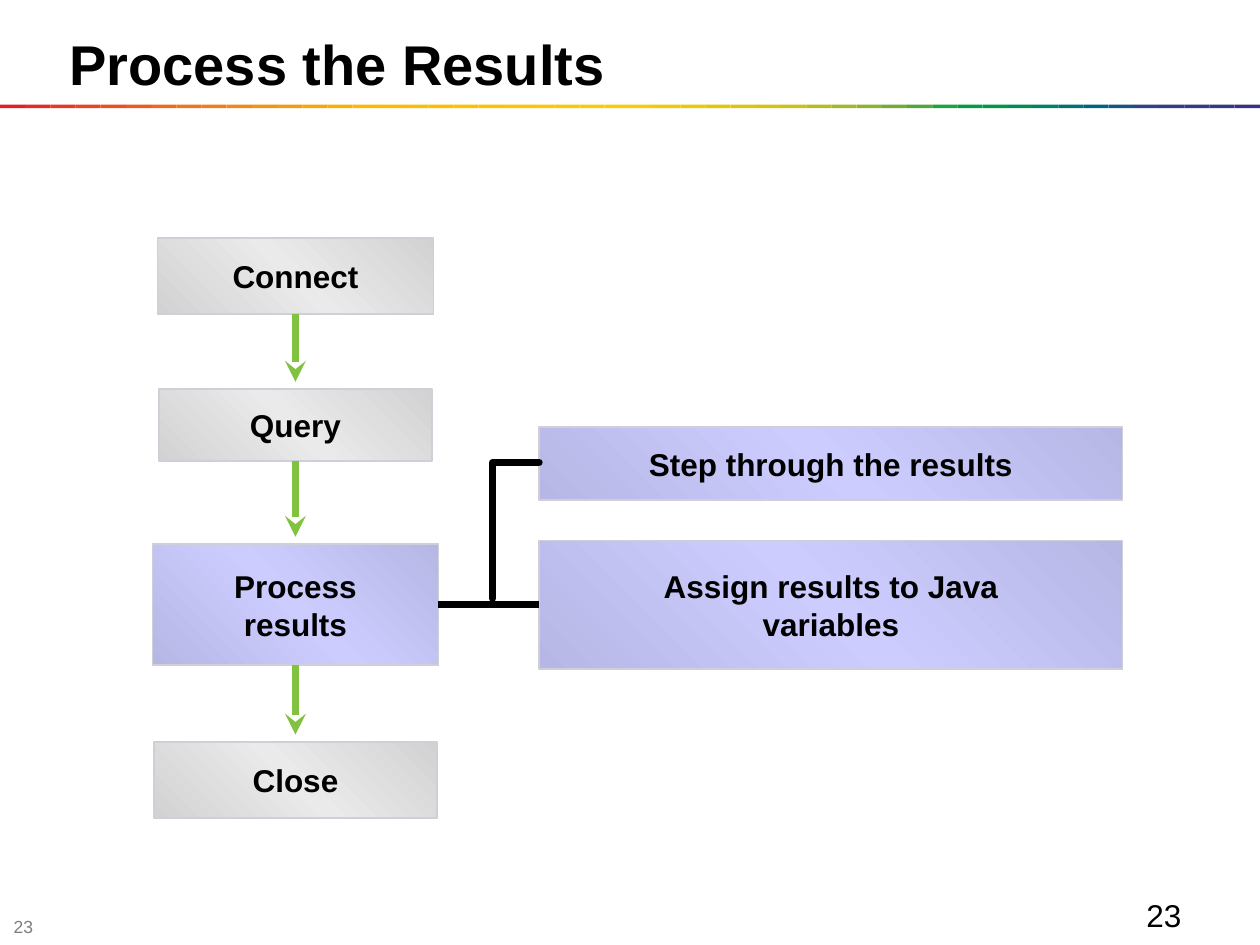
from lxml import etree
from pptx import Presentation
from pptx import util as u
from pptx.dml.color import RGBColor
from pptx.enum import shapes, text
from pptx.oxml import parse_xml
from pptx.oxml.ns import nsdecls, qn

FONT = "Arial"
BLACK, GREEN, BORDER = "000000", "81C240", "CFD0D7"
GREY_FILL = ("D2D2D2", "EAEAEA", "D2D2D2")
LILAC_FILL = ("B7B7E5", "CCCCFF", "B7B7E5")
RAINBOW = """
E31E24 E42C24 E53A24 E74623 E85122 EA5D21 EC691F EE741D EF7E1A F18817
F39314 F49C0F F6A607 F8B002 FBBA00 FBBB00 FBBD00 FCBF00 FCC000 FCC200
FDC400 FDC600 FDC700 FEC900 FECB00 FBCB00 F3CA00 ECC800 E4C602 DCC50A
D5C30E CCC117 B8BC21 A3B829 8CB230 71AD36 51A73B 1DA240 009D43 009846
008C57 008068 007275 00637F 185384 2E4285 313E85 333B85 353885 393185
""".split()
STEPS = (
    ("Connect", GREY_FILL, (1.25, 1.89, 2.19, 0.6)),
    ("Query", GREY_FILL, (1.26, 3.09, 2.17, 0.57)),
    ("Process\vresults", LILAC_FILL, (1.21, 4.32, 2.27, 0.96)),
    ("Close", GREY_FILL, (1.22, 5.89, 2.25, 0.6)),
)
DETAILS = (
    ("Step through the results", LILAC_FILL, (4.28, 3.39, 4.63, 0.58)),
    ("Assign results to Java\vvariables", LILAC_FILL, (4.28, 4.29, 4.63, 1.02)),
)


def colour(value):
    return RGBColor.from_string(value)


def inches(box):
    return [u.Inches(length) for length in box]


def write(frame, words, size, ink=BLACK, bold=False, align=text.PP_ALIGN.LEFT):
    frame.text = words
    para = frame.paragraphs[0]
    para.alignment = align
    for span in para.runs:
        span.font.name = FONT
        span.font.size = u.Pt(size)
        span.font.bold = bold
        span.font.color.rgb = colour(ink)


def style_line(item, ink, width):
    item.line.color.rgb = colour(ink)
    item.line.width = u.Pt(width)


def add_title(page, words, box):
    title = page.shapes.title
    title.left, title.top, title.width, title.height = inches(box)
    frame = title.text_frame
    frame.margin_left = u.Inches(0.22)
    frame.vertical_anchor = text.MSO_ANCHOR.MIDDLE
    write(frame, words, 32, bold=True)


def add_rainbow(page, box):
    left, top, width, height = box
    stripe = width / len(RAINBOW)
    for index, shade in enumerate(RAINBOW):
        place = inches((left + index * stripe, top, stripe, height))
        band = page.shapes.add_shape(shapes.MSO_SHAPE.RECTANGLE, *place)
        band.shadow.inherit = False
        band.fill.solid()
        band.fill.fore_color.rgb = colour(shade)
        band.line.fill.background()


def add_number(page, words, size, ink, anchor, box):
    frame = page.shapes.add_textbox(*inches(box)).text_frame
    frame.word_wrap = True
    frame.vertical_anchor = anchor
    write(frame, words, size, ink)


def add_block(page, words, shades, box):
    block = page.shapes.add_shape(shapes.MSO_SHAPE.RECTANGLE, *inches(box))
    block.shadow.inherit = False
    stops = "".join(
        f'<a:gs pos="{index * 50000}"><a:srgbClr val="{shade}"/></a:gs>'
        for index, shade in enumerate(shades))
    gradient = parse_xml(
        f'<a:gradFill {nsdecls("a")} rotWithShape="1"><a:gsLst>{stops}</a:gsLst>'
        f'<a:lin ang="{315 * 60000}" scaled="0"/></a:gradFill>')
    block._element.spPr.find(qn("a:prstGeom")).addnext(gradient)
    style_line(block, BORDER, 1)
    frame = block.text_frame
    frame.word_wrap = False
    frame.vertical_anchor = text.MSO_ANCHOR.MIDDLE
    write(frame, words, 18, bold=True, align=text.PP_ALIGN.CENTER)
    return block


def add_link(page, start, end, ink):
    link = page.shapes.add_connector(shapes.MSO_CONNECTOR.STRAIGHT, *start, *end)
    style_line(link, ink, 4)
    etree.SubElement(link._element.spPr, qn("a:effectLst"))
    return link


def add_arrow(page, source, target):
    middle = source.left + source.width // 2
    start = middle, source.top + source.height
    end = middle, target.top - u.Inches(0.06)
    arrow = add_link(page, start, end, GREEN)
    arrow.begin_connect(source, 2)
    etree.SubElement(arrow.line._get_or_add_ln(), qn("a:tailEnd"), type="stealth")


def add_branch(page, process, first, second):
    level = process.top + process.height // 2
    link = add_link(page, (process.left + process.width, level),
                    (second.left, level), BLACK)
    link.begin_connect(process, 3)
    link.end_connect(second, 1)

    corner_x, corner_y = u.Inches(3.91), u.Inches(3.67)
    builder = page.shapes.build_freeform(corner_x, u.Inches(4.75))
    builder.add_line_segments(
        [(corner_x, corner_y), (first.left, corner_y)], close=False)
    bend = builder.convert_to_shape()
    bend.shadow.inherit = False
    bend.fill.background()
    style_line(bend, BLACK, 4)
    outline = bend.line._get_or_add_ln()
    outline.set("cap", "rnd")
    etree.SubElement(outline, qn("a:round"))


def add_flow(page):
    steps = [add_block(page, *step) for step in STEPS]
    details = [add_block(page, *detail) for detail in DETAILS]
    for source, target in zip(steps, steps[1:]):
        add_arrow(page, source, target)
    add_branch(page, steps[2], *details)


def main():
    deck = Presentation()
    deck.slide_width, deck.slide_height = u.Inches(10), u.Inches(7.5)
    page = deck.slides.add_slide(deck.slide_layouts[5])
    add_rainbow(page, (0, 0.83, 10, 0.03))
    add_title(page, "Process the Results", (0.33, 0, 9.34, 1))
    add_flow(page)
    add_number(page, "23", 10, "7F7F7F", text.MSO_ANCHOR.MIDDLE,
               (0.01, 7.27, 0.39, 0.16))
    add_number(page, "23", 18, BLACK, text.MSO_ANCHOR.TOP, (9, 7.06, 0.96, 0.35))
    deck.save("out.pptx")


if __name__ == "__main__":
    main()
